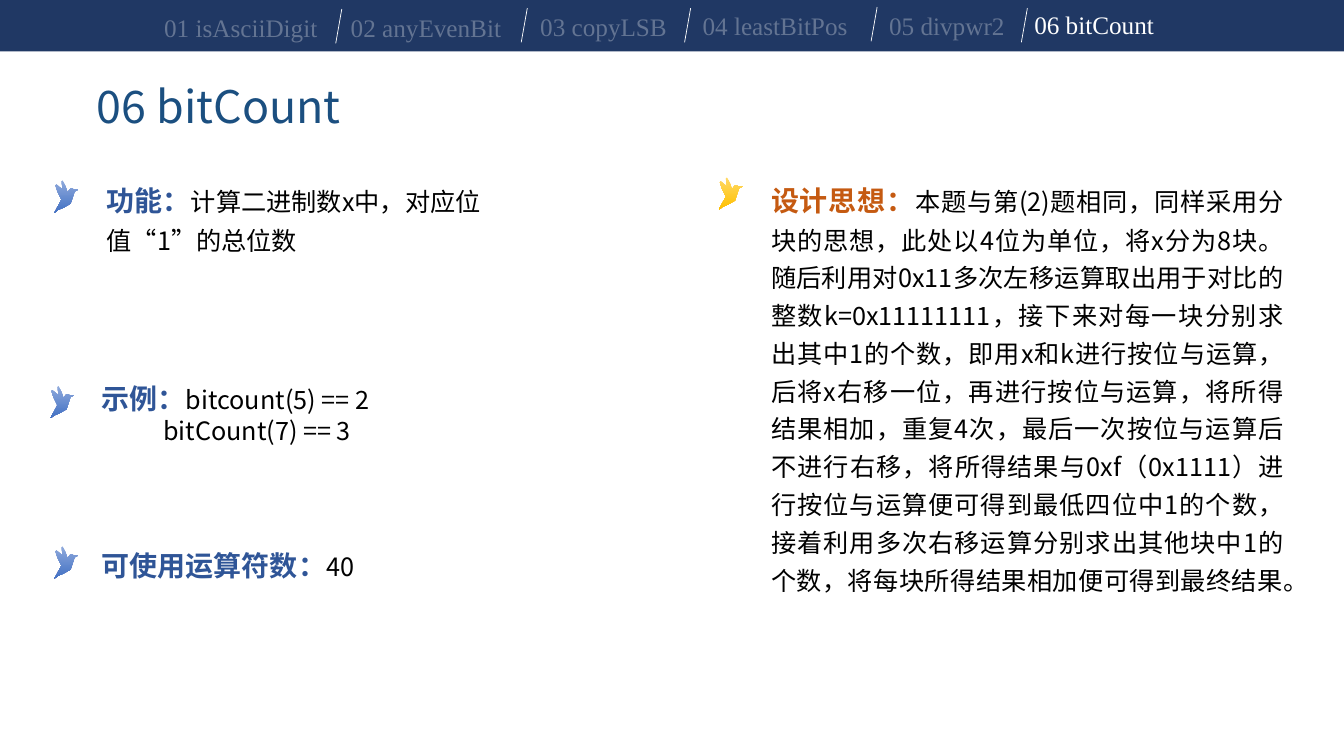
from lxml import etree
from pptx import Presentation, util as u
from pptx.dml.color import RGBColor
from pptx.enum import shapes, text
from pptx.oxml.ns import qn

WHITE = RGBColor(0xFF, 0xFF, 0xFF)
BLACK = RGBColor(0, 0, 0)
NAVY = RGBColor(0x20, 0x38, 0x64)
TITLE_BLUE = RGBColor(0x1B, 0x4F, 0x80)
BLUE = RGBColor(0x2F, 0x55, 0x97)
ORANGE = RGBColor(0xC5, 0x5A, 0x11)
BLUE_BIRD = ((0, RGBColor(0x8F, 0xAA, 0xDC)), (0.98, RGBColor(0x44, 0x72, 0xC4)))
GOLD_BIRD = ((0, RGBColor(0xFF, 0xD9, 0x66)), (1, RGBColor(0xFF, 0xC0, 0x00)))
SANS = "Noto Sans CJK SC"
SERIF = "Times New Roman"

BIRD_OUTLINE = [
    (24, 9), (19, 9), (17.5, 8.2), (16.5, 8), (15, 9), (13, 12), (11, 6), (8, 0),
    (7, 1), (8, 8), (10.5, 11), (12, 14), (12, 15), (8, 9), (2, 4), (1, 5),
    (3, 11), (7, 19), (0, 32), (4, 29), (9, 27), (16, 23), (20, 11),
]

TABS = [
    ("01 isAsciiDigit", 1.53, 0.07, 1.74),
    ("02 anyEvenBit", 3.38, 0.07, 1.71),
    ("03 copyLSB", 5.26, 0.06, 1.47),
    ("04 leastBitPos", 6.87, 0.05, 1.65),
    ("05 divpwr2", 8.72, 0.05, 1.36),
    ("06 bitCount", 10.16, 0.04, 1.4),
]
DIVIDERS = [(3.39, 0.09), (5.23, 0.08), (6.85, 0.08), (8.7, 0.07), (10.19, 0.08)]

PURPOSE = "计算二进制数x中，对应位值“1”的总位数"
DESIGN = (
    "本题与第(2)题相同，同样采用分块的思想，此处以4位为单位，将x分为8块。"
    "随后利用对0x11多次左移运算取出用于对比的整数k=0x11111111，"
    "接下来对每一块分别求出其中1的个数，即用x和k进行按位与运算，"
    "后将x右移一位，再进行按位与运算，将所得结果相加，重复4次，"
    "最后一次按位与运算后不进行右移，将所得结果与0xf（0x1111）"
    "进行按位与运算便可得到最低四位中1的个数，"
    "接着利用多次右移运算分别求出其他块中1的个数，"
    "将每块所得结果相加便可得到最终结果。"
)


def apply(target, values):
    for name, value in values.items():
        setattr(target, name, value)


class Page:
    def __init__(self, slide):
        self.slide = slide
        self.body = {"size": u.Pt(18), "bold": False, "name": SANS}
        self.heading = {"size": u.Pt(20), "bold": True, "name": SANS}
        self.tab_font = {"size": u.Pt(18), "name": SERIF}

    def run(self, paragraph, words, font, color, alpha=None):
        run = paragraph.add_run()
        run.text = words
        apply(run.font, font)
        run.font.color.rgb = color
        props = run.font._element
        if font["name"] == SANS:
            etree.SubElement(props, qn("a:ea")).set("typeface", SANS)
        if alpha:
            tint = props.find(".//" + qn("a:srgbClr"))
            etree.SubElement(tint, qn("a:alpha")).set("val", str(alpha * 1000))

    def box(self, left, top, width, height, wrap=True):
        frame = self.slide.shapes.add_textbox(
            *map(u.Inches, (left, top, width, height))).text_frame
        apply(frame, {"word_wrap": wrap, "auto_size": text.MSO_AUTO_SIZE.SHAPE_TO_FIT_TEXT})
        return frame

    def title(self, words, left, top, width, height):
        title = self.slide.shapes.title
        apply(title, {"left": u.Inches(left), "top": u.Inches(top),
                      "width": u.Inches(width), "height": u.Inches(height)})
        apply(title.text_frame, {"word_wrap": False,
                                 "vertical_anchor": text.MSO_ANCHOR.TOP,
                                 "auto_size": text.MSO_AUTO_SIZE.SHAPE_TO_FIT_TEXT})
        line = title.text_frame.paragraphs[0]
        line.alignment = text.PP_ALIGN.LEFT
        self.run(line, words, {"size": u.Pt(32), "name": SANS}, TITLE_BLUE)

    def band(self, left, top, width, height):
        band = self.slide.shapes.add_shape(
            shapes.MSO_SHAPE.RECTANGLE, *map(u.Inches, (left, top, width, height)))
        band.shadow.inherit = False
        band.fill.solid()
        band.fill.fore_color.rgb = NAVY
        band.line.fill.background()

    def tab(self, words, left, top, width, alpha):
        frame = self.box(left, top, width, 0.4, wrap=False)
        self.run(frame.paragraphs[0], words, self.tab_font, WHITE, alpha)

    def divider(self, right, top):
        divider = self.slide.shapes.add_connector(
            shapes.MSO_CONNECTOR.STRAIGHT,
            *map(u.Inches, (right, top, right - 0.06, top + 0.34)))
        divider.line.color.rgb = WHITE
        divider.line.width = u.Pt(0.5)
        etree.SubElement(divider._element.spPr, qn("a:effectLst"))

    def bird(self, left, top, stops):
        outline = self.slide.shapes.build_freeform(*BIRD_OUTLINE[0], scale=u.Inches(0.01))
        outline.add_line_segments(BIRD_OUTLINE[1:], close=True)
        bird = outline.convert_to_shape(u.Inches(left), u.Inches(top))
        bird.shadow.inherit = False
        bird.line.fill.background()
        bird.fill.gradient()
        bird.fill.gradient_angle = 270
        for stop, (position, color) in zip(bird.fill.gradient_stops, stops):
            stop.position = position
            stop.color.rgb = color

    def section(self, label, words, place, color=BLUE, layout=None):
        frame = self.box(*place)
        paragraph = frame.paragraphs[0]
        apply(paragraph, layout or {})
        self.run(paragraph, label, self.heading, color)
        self.run(paragraph, words, self.body, BLACK)
        return frame


def main():
    deck = Presentation()
    apply(deck, {"slide_width": u.Inches(13.33), "slide_height": u.Inches(7.5)})
    page = Page(deck.slides.add_slide(deck.slide_layouts[5]))

    page.band(0, -0.03, 13.33, 0.54)
    for tab in TABS:
        page.tab(*tab, alpha=None if tab is TABS[-1] else 30)
    for divider in DIVIDERS:
        page.divider(*divider)
    page.title("06 bitCount", 0.86, 0.73, 2.74, 0.64)

    for left, top in [(0.54, 1.79), (0.5, 3.83), (0.54, 5.42)]:
        page.bird(left, top, BLUE_BIRD)
    page.bird(7.13, 1.76, GOLD_BIRD)

    page.section("功能：", PURPOSE, (0.96, 1.69, 4.2, 1.51), layout={"line_spacing": 1.25})
    example = page.section("示例：", "bitcount(5) == 2", (0.91, 3.74, 5.01, 1.04))
    second_call = example.add_paragraph()
    second_call._p.get_or_add_pPr().set("marL", str(u.Inches(0.61)))
    page.run(second_call, "bitCount(7) == 3", page.body, BLACK)
    page.section("可使用运算符数：", "40", (0.91, 5.39, 5.01, 0.44))
    page.section("设计思想：", DESIGN, (7.55, 1.69, 5.28, 4.61), ORANGE,
                 {"line_spacing": 1.25, "alignment": text.PP_ALIGN.JUSTIFY})
    deck.save("out.pptx")


if __name__ == "__main__":
    main()
